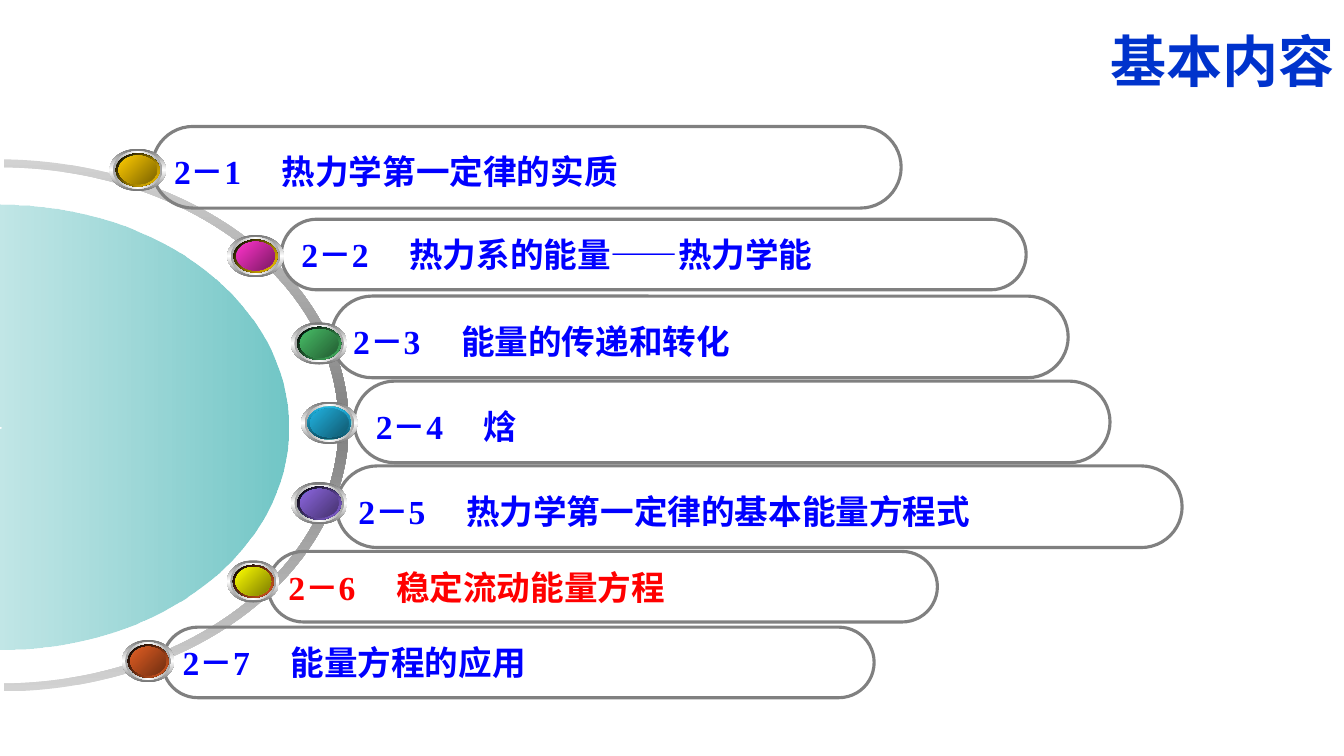
from collections import namedtuple

from pptx import Presentation, oxml, util as u
from pptx.dml.color import RGBColor
from pptx.enum import shapes, text
from pptx.oxml import ns

Topic = namedtuple("Topic", "number title pill button rim face color")

BLUE, RED = "0000FF", "FF0000"
TALL, LOW = 58.3, 50.4
WIDE, NARROW = 40.3, 37.4
BUTTON_HEIGHT = 30.2
TOPICS = [
    Topic("2－1", "热力学第一定律的实质", (108.7, 90.3, 535, TALL), (78.2, 106.3, WIDE),
          ("000000", "FFCC00", 45), ("FFCC00", "7C6300"), BLUE),
    Topic("2－2", "热力系的能量——热力学能", (200.9, 156.6, 532.1, LOW), (162.4, 167.8, WIDE),
          ("000000", "FFCC00", 45), ("FF33CC", "7C1963"), BLUE),
    Topic("2－3", "能量的传递和转化", (236.7, 211.5, 526.3, TALL), (207.8, 230.2, WIDE),
          ("000000", "48BE67", 45), ("48BE67", "235C32"), BLUE),
    Topic("2－4", "焓", (252.9, 272.2, 540, TALL), (215.1, 287, WIDE),
          ("21B3E1", "0F5368", 90), ("21B3E1", "10576D"), BLUE),
    Topic("2－5", "热力学第一定律的基本能量方程式", (240.3, 332.8, 604.1, TALL), (207.9, 344.3, WIDE),
          ("000000", "8D67E1", 45), ("8D67E1", "45326D"), BLUE),
    Topic("2－6", "稳定流动能量方程", (191.5, 393.9, 478.1, LOW), (162.2, 400.2, NARROW),
          ("000000", "E35E23", 45), ("FFFF00", "7C7C00"), RED),
    Topic("2－7", "能量方程的应用", (116.1, 448, 508.3, LOW), (87.1, 457.1, NARROW),
          ("000000", "E35E23", 45), ("E35E23", "6E2E11"), BLUE),
]

RING_FRAME = (-190.8, 53.3, 380.2, 500.4)
RING_PATH = [
    [(2.9, 119.5)],
    [(135.4, 121), (241.9, 203), (241.9, 303.8)],
    [(241.9, 404.6), (135.4, 486.7), (2.9, 488.2)],
    [(2.9, 493.9)],
    [(139.7, 492.5), (249.1, 407.5), (249.1, 303.8)],
    [(249.1, 200.2), (139.7, 115.9), (2.9, 113.8)],
]
DOME_FRAME = (-159.1, 98.6, 317.5, 412.6)
DOME_PATH = [
    [(0, 306)],
    [(0.7, 306), (0.7, 305.3), (0.7, 305.3)],
    [(0.7, 304.6), (0.7, 304.6), (0, 304.6)],
    [(0, 146.2)],
    [(113.8, 146.2), (205.9, 217.4), (205.9, 305.3)],
    [(205.9, 393.1), (113.8, 463.7), (0, 463.7)],
]


def color(value):
    return RGBColor.from_string(value)


class Deck:
    """Holds the style and the current slide, and draws each kind of element."""

    body_font = "Times New Roman"
    title_font = "Arial"
    outline = "808080"
    title_tab = 77

    def __init__(self):
        self.presentation = Presentation()
        self.presentation.slide_width = u.Pt(960)
        self.presentation.slide_height = u.Pt(540)
        self.slide = self.presentation.slides.add_slide(self.presentation.slide_layouts[5])

    def place(self, shape, frame):
        shape.left, shape.top, shape.width, shape.height = map(u.Pt, frame)

    def add_run(self, paragraph, content, font, size, hex_color):
        run = paragraph.add_run()
        run.text = content
        run.font.name = font
        run.font.size = u.Pt(size)
        run.font.bold = True
        run.font.color.rgb = color(hex_color)

    def gradient(self, shape, stops, angle):
        shape.shadow.inherit = False
        shape.line.fill.background()
        shape.fill.background()
        marks = "".join(
            f'<a:gs pos="{position * 1000}"><a:srgbClr val="{color(value)}">'
            f'<a:alpha val="{opacity * 1000}"/></a:srgbClr></a:gs>'
            for position, value, opacity in stops)
        fill = oxml.parse_xml(
            f'<a:gradFill {ns.nsdecls("a")} rotWithShape="1"><a:gsLst>{marks}</a:gsLst>'
            f'<a:lin ang="{angle * 60000}" scaled="0"/></a:gradFill>')
        properties = shape.element.spPr
        properties.replace(properties.find(ns.qn("a:noFill")), fill)

    def title(self, content, frame):
        shape = self.slide.shapes.title
        self.place(shape, frame)
        text_frame = shape.text_frame
        text_frame.auto_size = text.MSO_AUTO_SIZE.NONE
        text_frame.vertical_anchor = text.MSO_ANCHOR.BOTTOM
        paragraph = text_frame.paragraphs[0]
        paragraph.alignment = text.PP_ALIGN.RIGHT
        self.add_run(paragraph, content, self.title_font, 40, "0033CC")

    def turned_outline(self, frame, path, stops, angle):
        left, top, width, height = frame
        center_x, center_y = left + width / 2, top + height / 2
        turned = [[(u.Pt(width / 2 + y - center_y), u.Pt(height / 2 + center_x - x))
                   for x, y in step] for step in path]
        builder = self.slide.shapes.build_freeform(*turned[0][0])
        builder.add_line_segments([step[-1] for step in turned[1:]], close=True)
        shape = builder.convert_to_shape()
        self.place(shape, frame)
        shape.rotation = 90
        commands = ""
        for index, step in enumerate(turned):
            tag = "moveTo" if index == 0 else "cubicBezTo" if len(step) == 3 else "lnTo"
            points = "".join(f'<a:pt x="{x}" y="{y}"/>' for x, y in step)
            commands += f"<a:{tag}>{points}</a:{tag}>"
        curved = oxml.parse_xml(
            f'<a:path {ns.nsdecls("a")} w="{u.Pt(width)}" h="{u.Pt(height)}">'
            f"{commands}<a:close/></a:path>")
        straight = shape.element.spPr.find(".//" + ns.qn("a:path"))
        straight.getparent().replace(straight, curved)
        self.gradient(shape, stops, angle)

    def pill(self, topic):
        shape = self.slide.shapes.add_shape(
            shapes.MSO_SHAPE.ROUNDED_RECTANGLE, *map(u.Pt, topic.pill))
        shape.adjustments[0] = 0.5
        shape.shadow.inherit = False
        shape.fill.background()
        shape.line.color.rgb = color(self.outline)
        shape.line.width = u.Pt(2.25)
        frame = shape.text_frame
        frame.word_wrap = True
        frame.vertical_anchor = text.MSO_ANCHOR.MIDDLE
        paragraph = frame.paragraphs[0]
        paragraph.alignment = text.PP_ALIGN.LEFT
        paragraph.line_spacing = 1.2 if topic.pill[3] == TALL else 1.0
        paragraph._p.get_or_add_pPr().append(oxml.parse_xml(
            f'<a:tabLst {ns.nsdecls("a")}><a:tab pos="{u.Pt(self.title_tab)}" algn="l"/></a:tabLst>'))
        self.add_run(paragraph, f"{topic.number}\t{topic.title}", self.body_font, 24, topic.color)

    def button(self, topic):
        left, top, width = topic.button
        rim_start, rim_end, rim_angle = topic.rim
        layers = [
            (1, ("767676", "FFFFFF", "767676"), 90),
            (0.88, ("A2A2A2", "FFFFFF", "A2A2A2"), 0),
            (0.78, ("FFFFFF", "009999", "FFFFFF"), 45),
            (0.78, (rim_start, rim_end), rim_angle),
            (0.68, ("007575", "009999", "007575"), 315),
            (0.68, topic.face, 45),
        ]
        group = self.slide.shapes.add_group_shape()
        for scale, values, angle in layers:
            margin = (1 - scale) / 2
            ellipse = group.shapes.add_shape(
                shapes.MSO_SHAPE.OVAL,
                u.Pt(left + width * margin), u.Pt(top + BUTTON_HEIGHT * margin),
                u.Pt(width * scale), u.Pt(BUTTON_HEIGHT * scale))
            stops = [(100 * index // (len(values) - 1), value, 100)
                     for index, value in enumerate(values)]
            self.gradient(ellipse, stops, angle)


def main():
    deck = Deck()
    deck.title("基本内容", (341.3, 15.1, 619.2, 55.4))
    deck.turned_outline(RING_FRAME, RING_PATH,
                        [(0, "D2D2D2", 100), (50, "808080", 100), (100, "D2D2D2", 100)], 0)
    deck.turned_outline(DOME_FRAME, DOME_PATH, [(0, "009999", 56), (100, "FFFFFF", 48)], 90)
    for topic in TOPICS:
        deck.pill(topic)
        deck.button(topic)
    deck.presentation.save("out.pptx")


if __name__ == "__main__":
    main()
